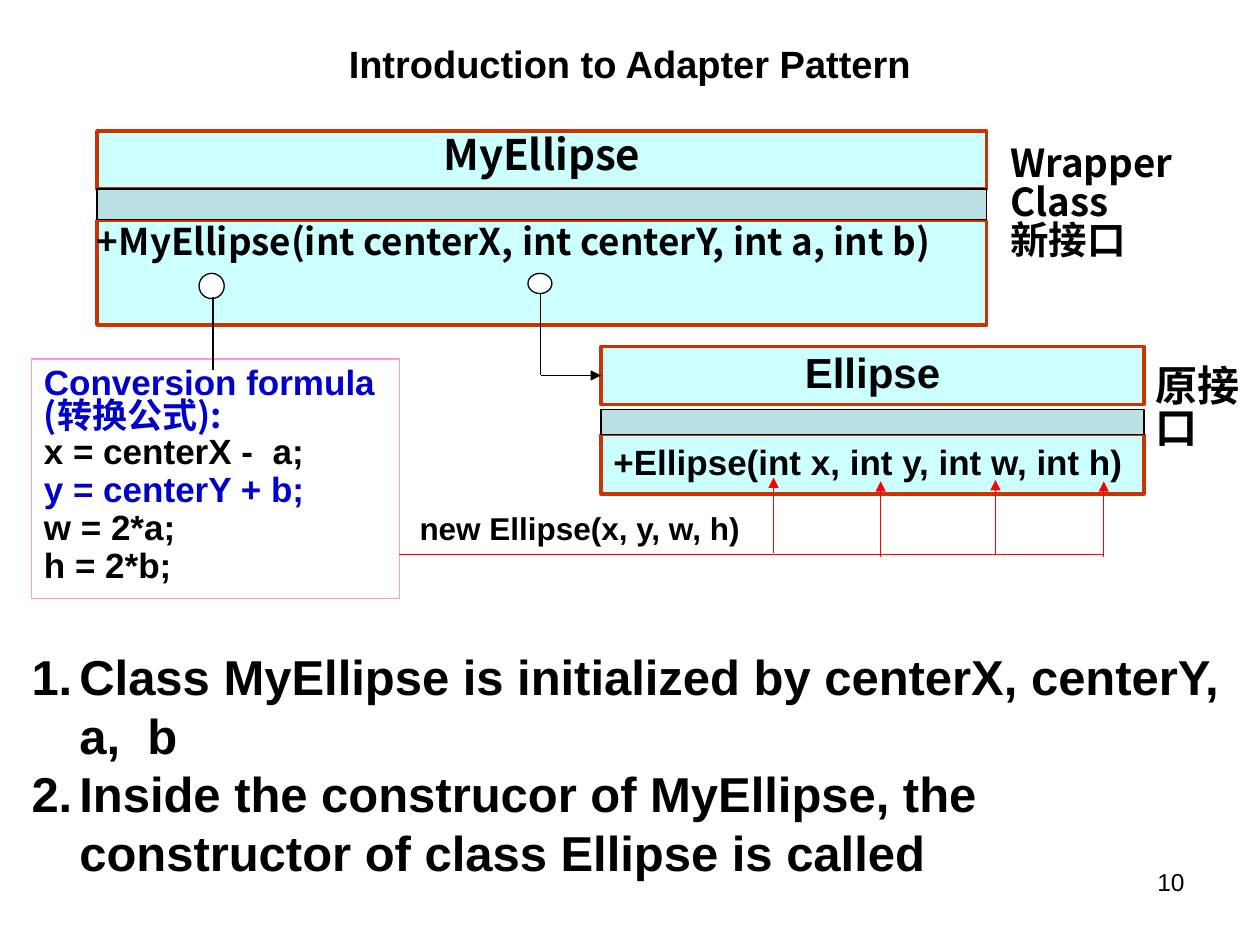
from lxml.etree import SubElement
from pptx import Presentation
from pptx.dml.color import RGBColor
from pptx.enum.shapes import MSO_CONNECTOR as Conn, MSO_SHAPE as Shape
from pptx.enum.text import MSO_ANCHOR as Anchor, PP_ALIGN as Align
from pptx.oxml.ns import qn
from pptx.util import Inches, Pt

BLACK = RGBColor(0, 0, 0)
WHITE = RGBColor(0xFF, 0xFF, 0xFF)
RED = RGBColor(0xFF, 0, 0)
BLUE = RGBColor(0, 0, 0xCC)
PINK = RGBColor(0xFF, 0x99, 0xCC)
CYAN = RGBColor(0xCC, 0xFF, 0xFF)
TEAL = RGBColor(0xBB, 0xE0, 0xE3)
RUST = RGBColor(0xCC, 0x33, 0)
LATIN, CJK = "Arial", "Noto Sans CJK SC"
CJK_SPACING = 0.83

TITLE = "Introduction to Adapter Pattern"
PAGE = "10"
WRAPPER_NOTE = ["Wrapper", "Class", "新接口"]
ORIGINAL_NOTE = ["原接口"]
CALL = "new Ellipse(x, y, w, h)"
POINTS = [
    "Class MyEllipse is initialized by centerX, centerY, a,  b",
    "Inside the construcor of MyEllipse, the constructor of class Ellipse is called",
]
FORMULA = [
    ("Conversion formula", LATIN, BLUE, 0.9),
    ("(转换公式):", CJK, BLUE, 0.75),
    ("x = centerX -  a;", LATIN, BLACK, 0.9),
    ("y = centerY + b;", LATIN, BLUE, 0.9),
    ("w = 2*a;", LATIN, BLACK, 0.9),
    ("h = 2*b;", LATIN, BLACK, 0.9),
]
CLASSES = [
    dict(name="MyEllipse", method="+MyEllipse(int centerX, int centerY, int a, int b)",
         x=0.77, w=7.06, rows=[(1.04, 0.46), (1.5, 0.24), (1.75, 0.83)],
         font=CJK, size=21, inset=0, spacing=CJK_SPACING),
    dict(name="Ellipse", method="+Ellipse(int x, int y, int w, int h)",
         x=4.77, w=4.31, rows=[(2.75, 0.46), (3.25, 0.2), (3.45, 0.47)],
         font=LATIN, size=20, inset=0.1, spacing=0.9),
]
KNOBS = [(1.58, 2.17, 0.2, 0.2), (4.19, 2.17, 0.19, 0.16)]
ARGUMENT_ARROWS = [(6.14, 4.39, 3.79), (6.99, 4.42, 3.82), (7.9, 4.4, 3.81), (8.76, 4.42, 3.82)]

prs = Presentation()
prs.slide_width, prs.slide_height = Inches(10), Inches(7.5)
shapes = prs.slides.add_slide(prs.slide_layouts[6]).shapes


def style(p, size, font=LATIN, color=BLACK, bold=True, align=Align.LEFT, spacing=None):
    p.alignment = align
    if spacing:
        p.line_spacing = spacing
    p.font.size, p.font.bold, p.font.name = Pt(size), bold, font
    p.font.color.rgb = color
    for r in p.runs:
        SubElement(r._r.get_or_add_rPr(), qn("a:ea"), typeface=font)


def write(sp, lines, size, inset=(0.1, 0.05), anchor=Anchor.TOP, right=None, **look):
    tf = sp.text_frame
    tf.word_wrap, tf.vertical_anchor = True, anchor
    tf.margin_left = Inches(inset[0])
    tf.margin_right = Inches(inset[0] if right is None else right)
    tf.margin_top = tf.margin_bottom = Inches(inset[1])
    tf.text = "\n".join(lines)
    for p in tf.paragraphs:
        style(p, size, **look)
    return tf


def text(box, lines, size, **look):
    return write(shapes.add_textbox(*map(Inches, box)), lines, size, **look)


def shape(kind, box, fill, line, width=0.75):
    sp = shapes.add_shape(kind, *map(Inches, box))
    sp.shadow.inherit = False
    if fill is None:
        sp.fill.background()
    else:
        sp.fill.solid()
        sp.fill.fore_color.rgb = fill
    sp.line.color.rgb, sp.line.width = line, Pt(width)
    return sp


def line(x1, y1, x2, y2, color=BLACK, arrow=False):
    c = shapes.add_connector(Conn.STRAIGHT, *map(Inches, (x1, y1, x2, y2)))
    c.line.color.rgb, c.line.width = color, Pt(0.75)
    if arrow:
        SubElement(c.line._get_or_add_ln(), qn("a:tailEnd"), type="triangle")
    SubElement(c._element.spPr, qn("a:effectLst"))
    return c


def class_box(name, method, x, w, rows, font, size, inset, spacing):
    head, band, body = [(x, y, w, h) for y, h in rows]
    sp = shape(Shape.RECTANGLE, body, CYAN, RUST, 2)
    write(sp, [method], size, inset=(inset, 0.05), right=0.1, font=font,
          spacing=spacing if font == CJK else None)
    title = shape(Shape.RECTANGLE, head, CYAN, RUST, 2)
    write(title, [name], 24, font=font, align=Align.CENTER, spacing=spacing)
    shape(Shape.RECTANGLE, band, TEAL, BLACK)
    return title


text((7.17, 6.83, 2.33, 0.52), [PAGE], 14, bold=False, align=Align.RIGHT)
text((0.5, 0.25, 9, 0.5), [TITLE], 21.7, anchor=Anchor.MIDDLE, align=Align.CENTER)

points = text((0.25, 5.08, 9.58, 1.97), POINTS, 28, inset=(0, 0.05))
for p in points.paragraphs:
    pPr = p._p.get_or_add_pPr()
    pPr.set("marL", str(Inches(0.38)))
    pPr.set("indent", str(-Inches(0.38)))
    number = pPr.makeelement(qn("a:buAutoNum"), {"type": "arabicPeriod"})
    pPr.find(qn("a:defRPr")).addprevious(number)

wrapper_head, ellipse_head = [class_box(**c) for c in CLASSES]
text((7.92, 1.12, 1.75, 1.2), WRAPPER_NOTE, 22, font=CJK, spacing=CJK_SPACING)
text((9.17, 2.92, 0.75, 0.8), ORIGINAL_NOTE, 24, inset=(0, 0), font=CJK, spacing=CJK_SPACING)

formula = shape(Shape.RECTANGLE, (0.25, 2.85, 2.92, 1.9), None, PINK)
tf = write(formula, [row[0] for row in FORMULA], 20)
for p, (words, font, color, spacing) in zip(tf.paragraphs, FORMULA):
    for r in p.runs:
        r._r.rPr.find(qn("a:ea")).set("typeface", font)
    p.font.name, p.font.color.rgb, p.line_spacing = font, color, spacing

line(4.29, 2.25, 4.29, 2.98)
line(4.29, 2.98, 4.77, 2.98, arrow=True).end_connect(ellipse_head, 1)
for knob in KNOBS:
    shape(Shape.OVAL, knob, WHITE, BLACK)
line(1.69, 2.36, 1.69, 2.94)

line(3.17, 4.4, 8.75, 4.4, RED)
for x, bottom, top in ARGUMENT_ARROWS:
    line(x, bottom, x, top, RED, arrow=True)
text((3.33, 3.99, 2.67, 0.4), [CALL], 18, inset=(0, 0.05))

prs.save("out.pptx")
